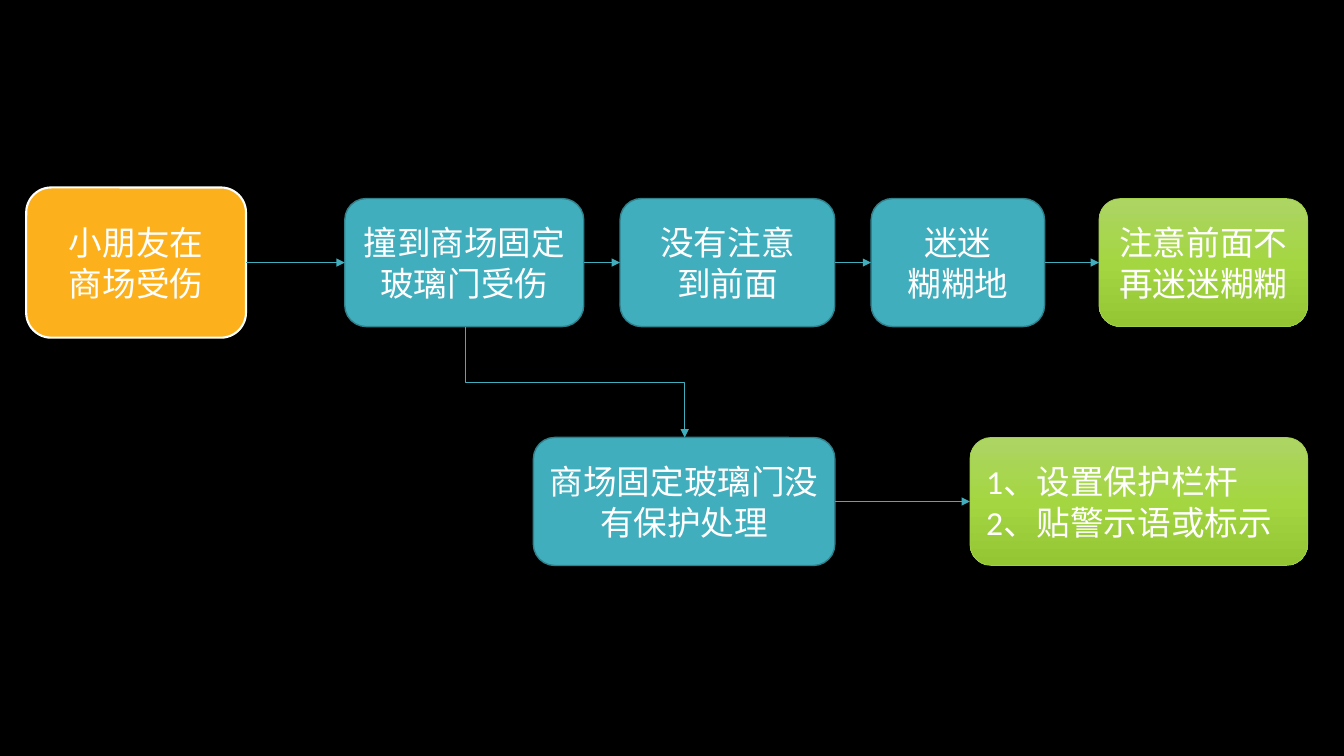
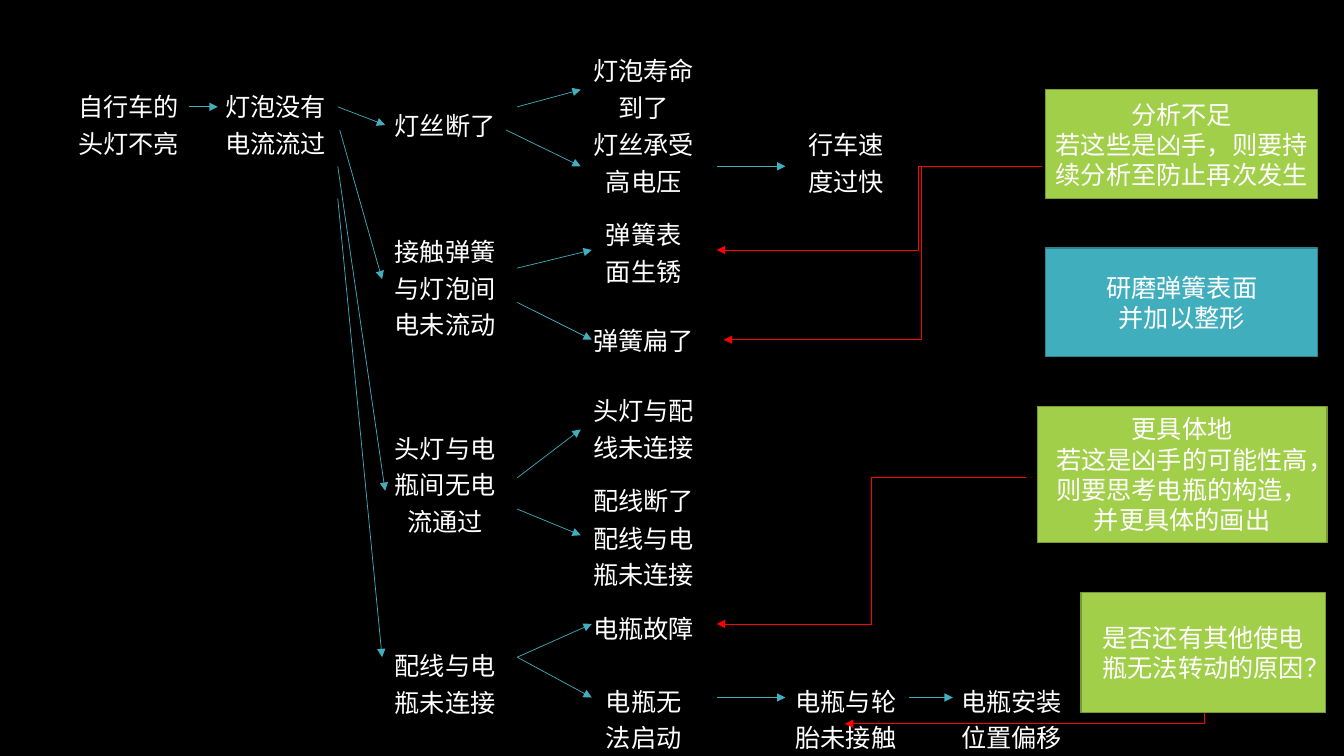
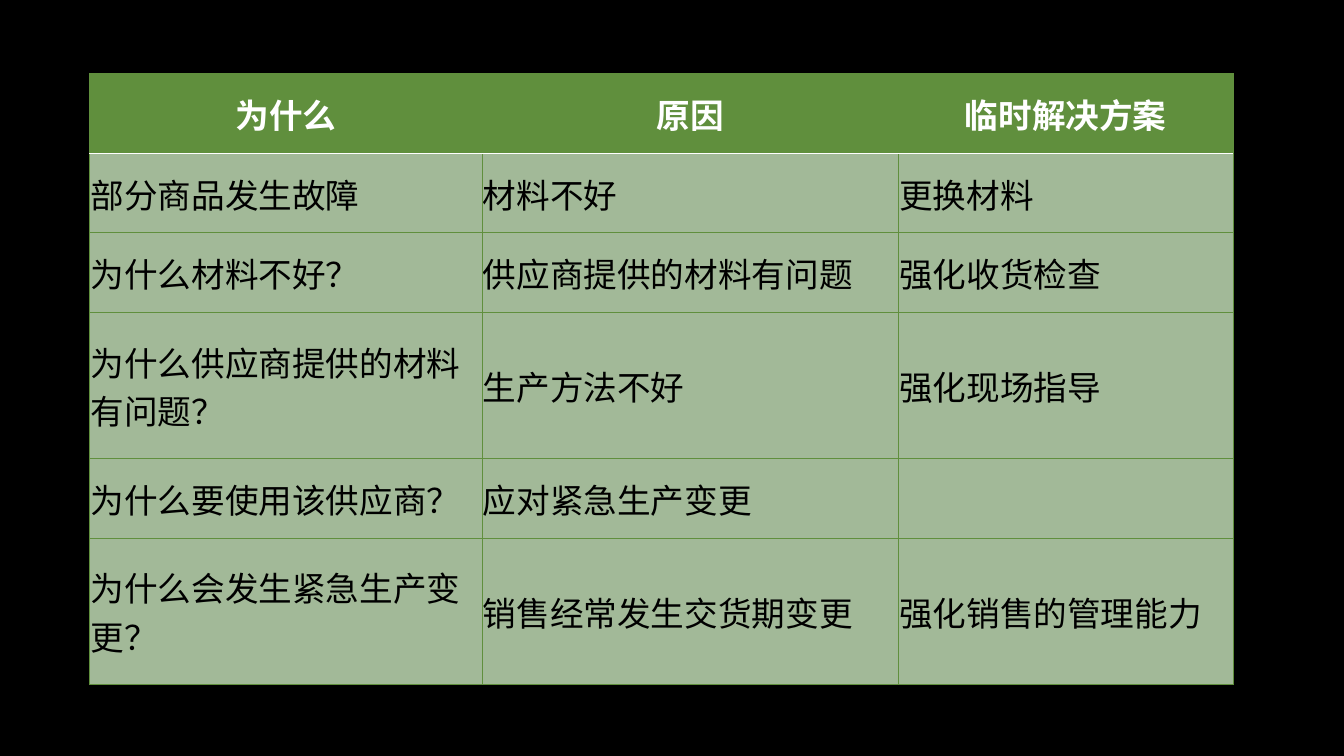
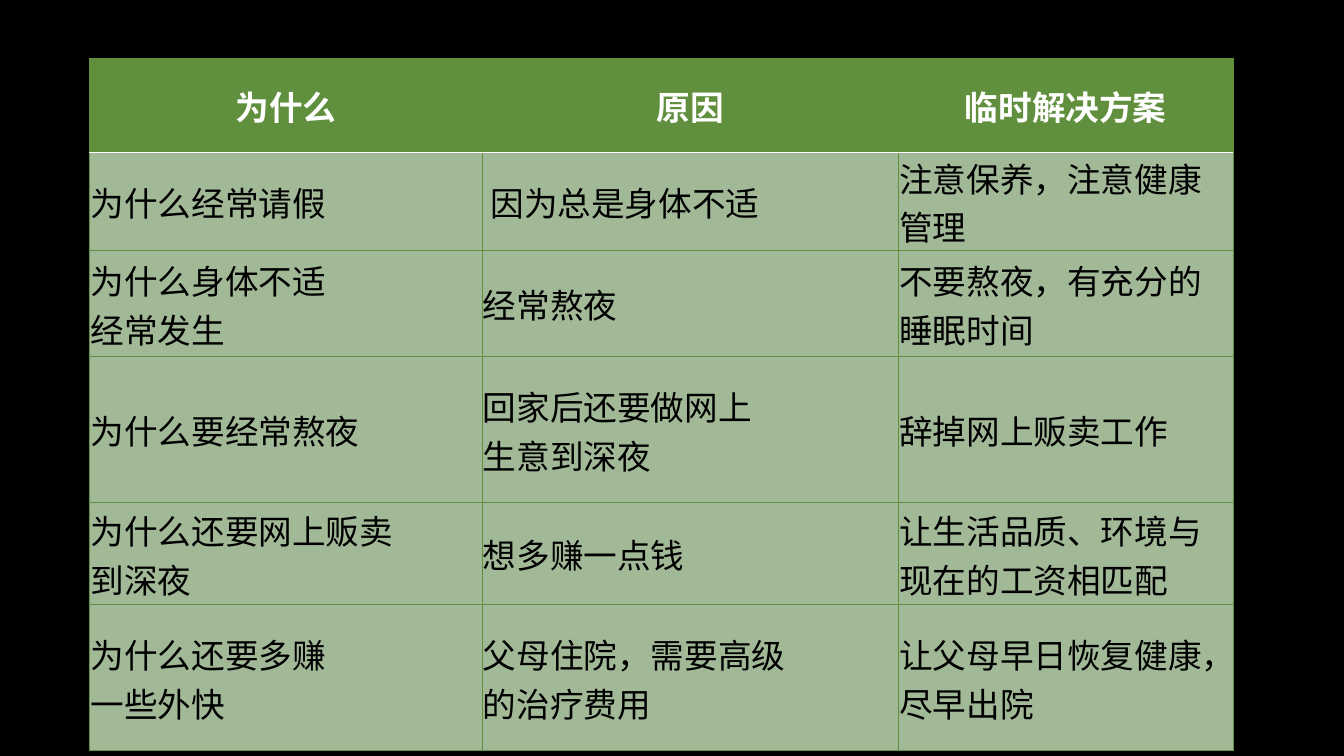
from copy import deepcopy
from dataclasses import dataclass

from lxml.etree import SubElement
from pptx import Presentation
from pptx.dml.color import RGBColor as Rgb
from pptx.enum.shapes import MSO_CONNECTOR as Wire, MSO_SHAPE as Kind
from pptx.enum.text import MSO_ANCHOR as Anchor, PP_ALIGN as Align
from pptx.oxml.ns import qn
from pptx.util import Inches, Pt


@dataclass(frozen=True)
class Theme:
    """Hold the colours, fonts and sizes of the deck."""
    back: str = "000000"
    light: str = "FFFFFF"
    dark: str = "000000"
    amber: str = "FCB11C"
    teal: str = "41AEBD"
    sea: str = "30818C"
    lime: str = "A2CF49"
    moss: str = "789936"
    fade: tuple = ("ACD564", "A4D642", "94C533")
    red: str = "FF0000"
    head: str = "608F3D"
    body: str = "A2B998"
    face: str = "Calibri"
    cjk: str = "Noto Sans CJK SC"
    big: int = 24
    small: int = 18
    plain: str = "{2D5ABB26-0587-4C30-8999-92F81FD0307C}"


T = Theme()
HEADS = ("为什么", "原因", "临时解决方案")
WIDTHS = (3.89, 4.13, 3.32)


def rgb(code):
    """Turn a hex code into a colour."""
    return Rgb.from_string(code)


def paint(fill, code):
    """Fill with one solid colour."""
    fill.solid()
    fill.fore_color.rgb = rgb(code)


def write(frame, text, size=T.big, color=T.light, bold=False,
          align=Align.CENTER, east=T.face):
    """Write each line of the text as a formatted paragraph."""
    for i, line in enumerate(text.split("\n")):
        para = frame.paragraphs[0] if i == 0 else frame.add_paragraph()
        para.alignment = align
        run = para.add_run()
        run.text = line
        font = run.font
        font.name, font.size, font.bold = T.face, Pt(size), bold
        font.color.rgb = rgb(color)
        SubElement(font._element, qn("a:ea")).set("typeface", east)


def blend(shape):
    """Fill a shape with the vertical lime gradient."""
    shape.fill.gradient()
    shape.fill.gradient_angle = 270
    stops = shape._element.spPr.find(".//" + qn("a:gsLst"))
    stops.append(deepcopy(stops[0]))
    for i, (stop, code) in enumerate(zip(shape.fill.gradient_stops, T.fade)):
        stop.position = i / 2
        stop.color.rgb = rgb(code)


def box(slide, area, text, fill=T.teal, edge=T.sea, wide=1,
        kind=Kind.ROUNDED_RECTANGLE, **form):
    """Add a filled box with text; no fill colour means the gradient."""
    shape = slide.shapes.add_shape(kind, *map(Inches, area))
    shape.shadow.inherit = False
    if fill:
        paint(shape.fill, fill)
    else:
        blend(shape)
    shape.line.color.rgb = rgb(edge)
    shape.line.width = Pt(wide)
    shape.text_frame.vertical_anchor = Anchor.MIDDLE
    write(shape.text_frame, text, **form)
    return shape


def link(slide, ends, color=T.teal, bend=None):
    """Add an arrow, straight or with an elbow at the given share."""
    kind = Wire.STRAIGHT if bend is None else Wire.ELBOW
    wire = slide.shapes.add_connector(kind, *map(Inches, ends))
    wire.line.color.rgb = rgb(color)
    wire.line.width = Pt(0.5)
    SubElement(wire.line._get_or_add_ln(), qn("a:tailEnd")).set("type", "triangle")
    props = wire._element.spPr
    SubElement(props, qn("a:effectLst"))
    if bend is not None:
        guides = props.find(qn("a:prstGeom")).get_or_add_avLst()
        guide = SubElement(guides, qn("a:gd"))
        guide.set("name", "adj1")
        guide.set("fmla", f"val {round(bend * 100000)}")
    return wire


def drop(slide, ends, color=T.teal, corner=False):
    """Add an elbow arrow that sets out downwards."""
    wire = link(slide, ends, color, bend=0.5)
    x1, y1, x2, y2 = ends
    wide, high = y2 - y1, abs(x2 - x1)
    wire.left = Inches((x1 + x2 - wide) / 2)
    wire.top = Inches((y1 + y2 - high) / 2)
    wire.width, wire.height = Inches(wide), Inches(high)
    frame = wire._element.spPr.find(qn("a:xfrm"))
    right = x2 > x1
    frame.set("rot", str((270 if right else 90) * 60000))
    frame.set("flipH", "1" if right else "0")
    if corner:
        geom = wire._element.spPr.find(qn("a:prstGeom"))
        geom.set("prst", "bentConnector2")
        geom.get_or_add_avLst().clear()


def join(slide, one, two):
    """Link the right side of one box to the left side of the next."""
    mid = (two.top + two.height / 2) / Inches(1)
    start = (one.left + one.width) / Inches(1)
    link(slide, (start, mid, two.left / Inches(1), mid))


def grid(slide, left, top, cols, rows):
    """Add a plain table with tight cell margins."""
    area = map(Inches, (left, top, sum(cols), sum(rows)))
    table = slide.shapes.add_table(len(rows), len(cols), *area).table
    table.first_row = table.horz_banding = False
    table._tbl.tblPr.find(qn("a:tableStyleId")).text = T.plain
    for col, wide in zip(table.columns, cols):
        col.width = Inches(wide)
    for row, high in zip(table.rows, rows):
        row.height = Inches(high)
    for cell in table.iter_cells():
        cell.margin_left = cell.margin_right = cell.margin_top = Inches(0.01)
        cell.margin_bottom = 0
        cell.vertical_anchor = Anchor.MIDDLE
    return table


def rule(cell, top, low):
    """Draw the four borders of a cell before its fill is set."""
    edge = (T.head, 0.5)
    for tag, (code, wide) in zip("LRTB", (edge, edge, top, low)):
        line = SubElement(cell._tc.get_or_add_tcPr(), qn(f"a:ln{tag}"))
        line.set("w", str(Pt(wide)))
        fill = SubElement(line, qn("a:solidFill"))
        SubElement(fill, qn("a:srgbClr")).set("val", code)


def chart(slide, top, highs, lines):
    """Add a table of whys, causes and fixes under a green header."""
    table = grid(slide, 0.89, top, WIDTHS, highs)
    thin, white = (T.head, 0.5), (T.light, 1)
    for r, words in enumerate((HEADS, *lines)):
        first = r == 0
        for c, text in enumerate(words):
            cell = table.cell(r, c)
            rule(cell, white if r == 1 else thin, white if first else thin)
            paint(cell.fill, T.head if first else T.body)
            if text:
                write(cell.text_frame, text, bold=first, east=T.cjk,
                      color=T.light if first else T.dark,
                      align=Align.CENTER if first else Align.LEFT)


def page(deck):
    """Add a blank slide on the black ground."""
    slide = deck.slides.add_slide(deck.slide_layouts[6])
    paint(slide.background.fill, T.back)
    return slide


def injury(deck):
    """Build the flow of the injured child."""
    slide = page(deck)
    top, low, high = 1.97, 4.34, 1.27
    lime = dict(fill=None, edge=T.lime, wide=0.5)
    start = box(slide, (0.26, 1.86, 2.18, 1.49), "小朋友在\n商场受伤",
                fill=T.amber, edge=T.light, wide=1.5)
    chain = [start]
    for left, wide, text, look in (
            (3.42, 2.37, "撞到商场固定玻璃门受伤", {}),
            (6.15, 2.13, "没有注意\n到前面", {}),
            (8.64, 1.72, "迷迷\n糊糊地", {}),
            (10.9, 2.07, "注意前面不再迷迷糊糊", lime)):
        chain.append(box(slide, (left, top, wide, high), text, **look))
    door = box(slide, (5.29, low, 2.99, high), "商场固定玻璃门没有保护处理")
    cure = box(slide, (9.62, low, 3.35, high),
               "1、设置保护栏杆\n2、贴警示语或标示", align=Align.LEFT, **lime)
    for one, two in (*zip(chain, chain[1:]), (door, cure)):
        join(slide, one, two)
    drop(slide, (4.61, top + high, 6.79, low))


def lamp(deck):
    """Build the cause tree of the bicycle lamp."""
    slide = page(deck)
    table = grid(slide, 0.55, 0.5, (1.45, 1.47, 1.89, 2.05, 1.96, 1.33),
                 (0.7, 0.7, 1.05, 0.7, 1.05, 0.35, 0.7, 0.7, 0.7))
    leaves = ("灯泡寿命\n到了", "灯丝承受\n高电压", "弹簧表\n面生锈",
              "弹簧扁了", "头灯与配\n线未连接", "配线断了",
              "配线与电\n瓶未连接", "电瓶故障", "电瓶无\n法启动")
    nodes = [(0, 0, 9, "自行车的\n头灯不亮"), (0, 1, 9, "灯泡没有\n电流流过"),
             (0, 2, 2, "灯丝断了"), (2, 2, 2, "接触弹簧\n与灯泡间\n电未流动"),
             (4, 2, 3, "头灯与电\n瓶间无电\n流通过"),
             (7, 2, 2, "配线与电\n瓶未连接"),
             (1, 4, 1, "行车速\n度过快"), (8, 4, 1, "电瓶与轮\n胎未接触"),
             (8, 5, 1, "电瓶安装\n位置偏移")]
    nodes += [(r, 3, 1, text) for r, text in enumerate(leaves)]
    for r, c, span, text in nodes:
        cell = table.cell(r, c)
        if span > 1:
            cell.merge(table.cell(r + span - 1, c))
        if c < 2:
            cell.vertical_anchor = Anchor.TOP
            cell.margin_top = Inches(0.37)
        write(cell.text_frame, text, size=T.small, east=T.cjk)

    for ends in ((1.87, 1.06, 2.16, 1.06), (3.35, 1.06, 3.82, 1.24),
                 (3.37, 1.29, 3.79, 2.77), (3.35, 1.65, 3.82, 4.87),
                 (3.35, 1.97, 3.79, 6.52), (5.13, 1.06, 5.76, 0.89),
                 (5.02, 1.29, 5.76, 1.65), (5.13, 2.66, 5.87, 2.48),
                 (5.13, 3, 5.87, 3.37), (5.13, 4.74, 5.76, 4.26),
                 (5.13, 5.05, 5.76, 5.31), (5.13, 6.52, 5.87, 6.19),
                 (5.13, 6.52, 5.87, 6.92), (7.11, 1.65, 7.79, 1.65),
                 (7.11, 6.92, 7.79, 6.92), (9.02, 6.92, 9.45, 6.92)):
        link(slide, ends)

    lime, teal = (T.lime, T.moss), (T.teal, T.sea)
    for area, text, (fill, edge) in (
            ((10.37, 0.89, 2.7, 1.08),
             "分析不足\n若这些是凶手，则要持续分析至防止再次发生", lime),
            ((10.37, 2.46, 2.7, 1.08), "研磨弹簧表面\n并加以整形", teal),
            ((10.29, 4.03, 2.87, 1.35),
             "更具体地\n若这是凶手的可能性高，则要思考电瓶的构造，并更具体的画出", lime),
            ((10.72, 5.88, 2.43, 1.19), "是否还有其他使电瓶无法转动的原因？", lime)):
        box(slide, area, text, fill=fill, edge=edge, kind=Kind.RECTANGLE,
            size=T.small)

    for ends, bend in (((10.18, 1.65, 7.11, 2.48), 0.35),
                       ((10.34, 1.65, 7.18, 3.37), 0.38),
                       ((10.18, 4.74, 7.11, 6.19), 0.5)):
        link(slide, ends, T.red, bend)
    drop(slide, (11.94, 7.07, 8.38, 7.18), T.red, corner=True)


def main():
    """Build the four slides and save them."""
    deck = Presentation()
    deck.slide_width, deck.slide_height = Inches(13.33), Inches(7.5)
    injury(deck)
    lamp(deck)
    chart(page(deck), 0.73, (0.79, 0.79, 0.79, 1.45, 0.79, 1.45), (
        ("部分商品发生故障", "材料不好", "更换材料"),
        ("为什么材料不好？", "供应商提供的材料有问题", "强化收货检查"),
        ("为什么供应商提供的材料有问题？", "生产方法不好", "强化现场指导"),
        ("为什么要使用该供应商？", "应对紧急生产变更", ""),
        ("为什么会发生紧急生产变更？", "销售经常发生交货期变更",
         "强化销售的管理能力")))
    chart(page(deck), 0.58, (0.93, 0.79, 1.05, 1.45, 1.01, 1.45), (
        ("为什么经常请假", " 因为总是身体不适", "注意保养，注意健康管理"),
        ("为什么身体不适\n经常发生", "经常熬夜", "不要熬夜，有充分的睡眠时间"),
        ("为什么要经常熬夜", "回家后还要做网上\n生意到深夜", "辞掉网上贩卖工作"),
        ("为什么还要网上贩卖\n到深夜", "想多赚一点钱",
         "让生活品质、环境与现在的工资相匹配"),
        ("为什么还要多赚\n一些外快", "父母住院，需要高级\n的治疗费用",
         "让父母早日恢复健康，尽早出院")))
    deck.save("out.pptx")


if __name__ == "__main__":
    main()
